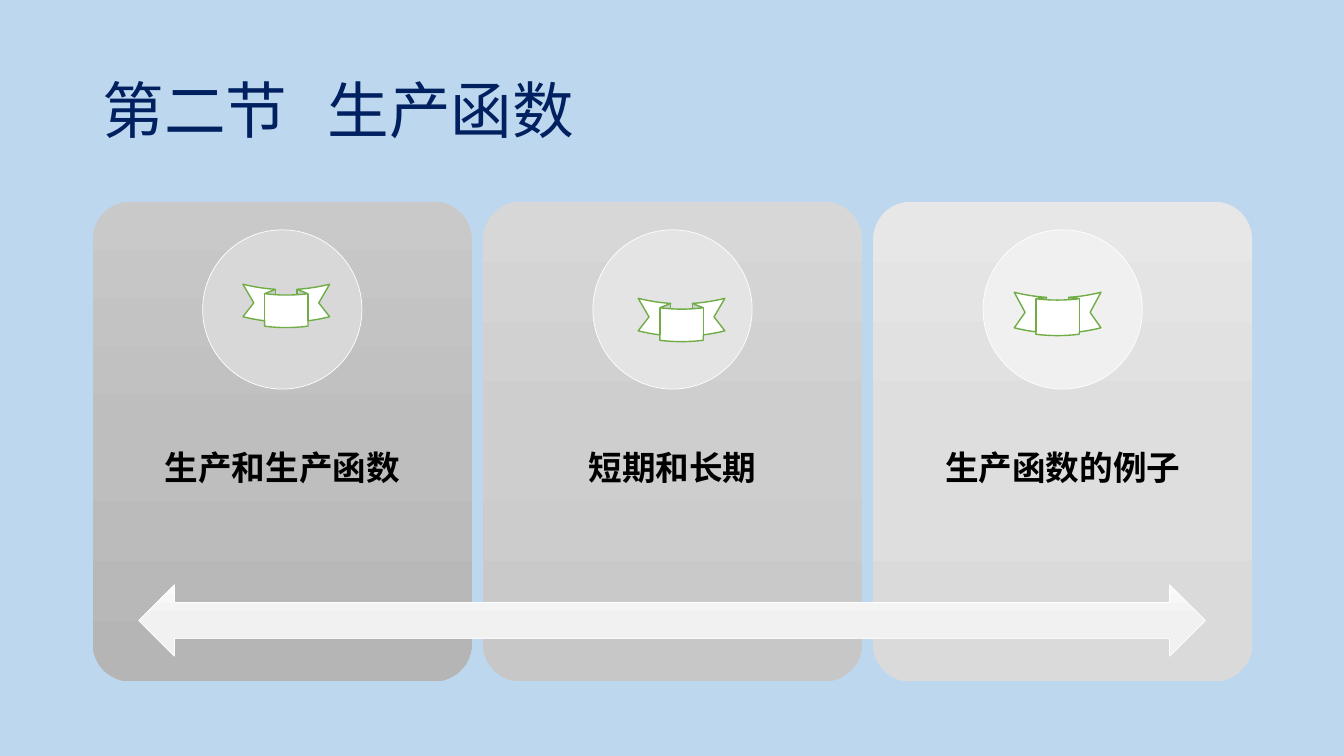
from copy import deepcopy
from dataclasses import dataclass

from lxml.etree import SubElement
from pptx import Presentation
from pptx.dml.color import RGBColor
from pptx.enum.shapes import MSO_SHAPE
from pptx.enum.text import MSO_ANCHOR, PP_ALIGN
from pptx.oxml.ns import qn
from pptx.util import Inches, Pt


@dataclass(frozen=True)
class Theme:
    font: str = "Noto Sans CJK SC"
    background: str = "BDD7EE"
    title: str = "002060"
    label: str = "000000"
    white: str = "FFFFFF"
    ribbon: str = "70AD47"
    arrow: tuple = ("FAFAFA", "F1F1F1", "F0F0F0")
    title_size: int = 44
    label_size: int = 24


THEME = Theme()
TITLE = "第二节\t生产函数"
# label, card gradient, circle colour, ribbon offset in card, ribbon fold
CARDS = [
    ("生产和生产函数", ("C9C9C9", "BEBEBE", "B5B5B5"), "D8D8D8", (1.49, 0.82), 0.25),
    ("短期和长期", ("D7D7D7", "CECECE", "C7C7C7"), "E4E4E4", (1.54, 0.96), 0.25),
    ("生产函数的例子", ("E7E7E7", "DEDEDE", "DADADA"), "F0F0F0", (1.4, 0.9), 0.18),
]

SLIDE_WIDTH, SLIDE_HEIGHT = 13.33, 7.5
MARGIN, CARD_TOP = 0.92, 2
CARD_WIDTH, CARD_HEIGHT, CARD_GAP = 3.76, 4.76, 0.11
CIRCLE, CIRCLE_DROP = 1.58, 0.28
RIBBON_WIDTH, RIBBON_HEIGHT = 0.86, 0.43
LABEL_DROP, LABEL_HEIGHT, LABEL_INSET = 1.9, 1.9, 0.19
ARROW_WIDTH, ARROW_HEIGHT, ARROW_TOP = 10.58, 0.71, 5.8
TITLE_TAB = 2.23


def color(value):
    return RGBColor.from_string(value)


def fill_gradient(shape, colors):
    """Fill with a top-to-bottom gradient of three evenly spaced colours."""
    shape.fill.gradient()
    shape.fill.gradient_angle = 270
    stops = shape._element.spPr.find(".//" + qn("a:gsLst"))
    stops.insert(1, deepcopy(stops[0]))
    for index, (stop, value) in enumerate(zip(shape.fill.gradient_stops, colors)):
        stop.position = index / 2
        stop.color.rgb = color(value)


def add_shape(slide, kind, box, fill, line=None, width=0.5):
    shape = slide.shapes.add_shape(kind, *map(Inches, box))
    shape.shadow.inherit = False
    if isinstance(fill, tuple):
        fill_gradient(shape, fill)
    else:
        shape.fill.solid()
        shape.fill.fore_color.rgb = color(fill)
    if line:
        shape.line.color.rgb = color(line)
        shape.line.width = Pt(width)
    else:
        shape.line.fill.background()
    return shape


def add_text(slide, text, box, size, text_color, bold=False, tab=None):
    frame = slide.shapes.add_textbox(*map(Inches, box)).text_frame
    frame.word_wrap = True
    frame.vertical_anchor = MSO_ANCHOR.MIDDLE
    paragraph = frame.paragraphs[0]
    paragraph.text = text
    paragraph.line_spacing = 0.9
    properties = paragraph._p.get_or_add_pPr()
    if tab:
        tabs = SubElement(properties, qn("a:tabLst"))
        SubElement(tabs, qn("a:tab"), pos=str(Inches(tab)), algn="l")
    font = paragraph.font
    font.size = Pt(size)
    font.bold = bold
    font.color.rgb = color(text_color)
    font.name = THEME.font
    SubElement(properties.find(qn("a:defRPr")), qn("a:ea"), typeface=THEME.font)
    return frame


def add_card(slide, left, label, gradient, circle_color, ribbon_offset, fold):
    card = add_shape(slide, MSO_SHAPE.ROUNDED_RECTANGLE,
                     (left, CARD_TOP, CARD_WIDTH, CARD_HEIGHT), gradient)
    card.adjustments[0] = 0.1
    frame = add_text(slide, label,
                     (left, CARD_TOP + LABEL_DROP, CARD_WIDTH, LABEL_HEIGHT),
                     THEME.label_size, THEME.label, bold=True)
    frame.paragraphs[0].alignment = PP_ALIGN.CENTER
    frame.margin_left = frame.margin_right = frame.margin_top = Inches(LABEL_INSET)
    frame.margin_bottom = Inches(3 * LABEL_INSET)
    add_shape(slide, MSO_SHAPE.OVAL,
              (left + (CARD_WIDTH - CIRCLE) / 2, CARD_TOP + CIRCLE_DROP, CIRCLE, CIRCLE),
              circle_color, THEME.white)
    across, down = ribbon_offset
    ribbon = add_shape(slide, MSO_SHAPE.CURVED_DOWN_RIBBON,
                       (left + across, CARD_TOP + down, RIBBON_WIDTH, RIBBON_HEIGHT),
                       THEME.white, THEME.ribbon, 1)
    ribbon.adjustments[0] = fold


def main():
    presentation = Presentation()
    presentation.slide_width = Inches(SLIDE_WIDTH)
    presentation.slide_height = Inches(SLIDE_HEIGHT)
    slide = presentation.slides.add_slide(presentation.slide_layouts[6])
    slide.background.fill.solid()
    slide.background.fill.fore_color.rgb = color(THEME.background)

    add_text(slide, TITLE, (MARGIN, 0.4, SLIDE_WIDTH - 2 * MARGIN, 1.45),
             THEME.title_size, THEME.title, tab=TITLE_TAB)
    for column, card in enumerate(CARDS):
        add_card(slide, MARGIN + column * (CARD_WIDTH + CARD_GAP), *card)
    add_shape(slide, MSO_SHAPE.LEFT_RIGHT_ARROW,
              ((SLIDE_WIDTH - ARROW_WIDTH) / 2, ARROW_TOP, ARROW_WIDTH, ARROW_HEIGHT),
              THEME.arrow, THEME.white)
    presentation.save("out.pptx")


if __name__ == "__main__":
    main()
